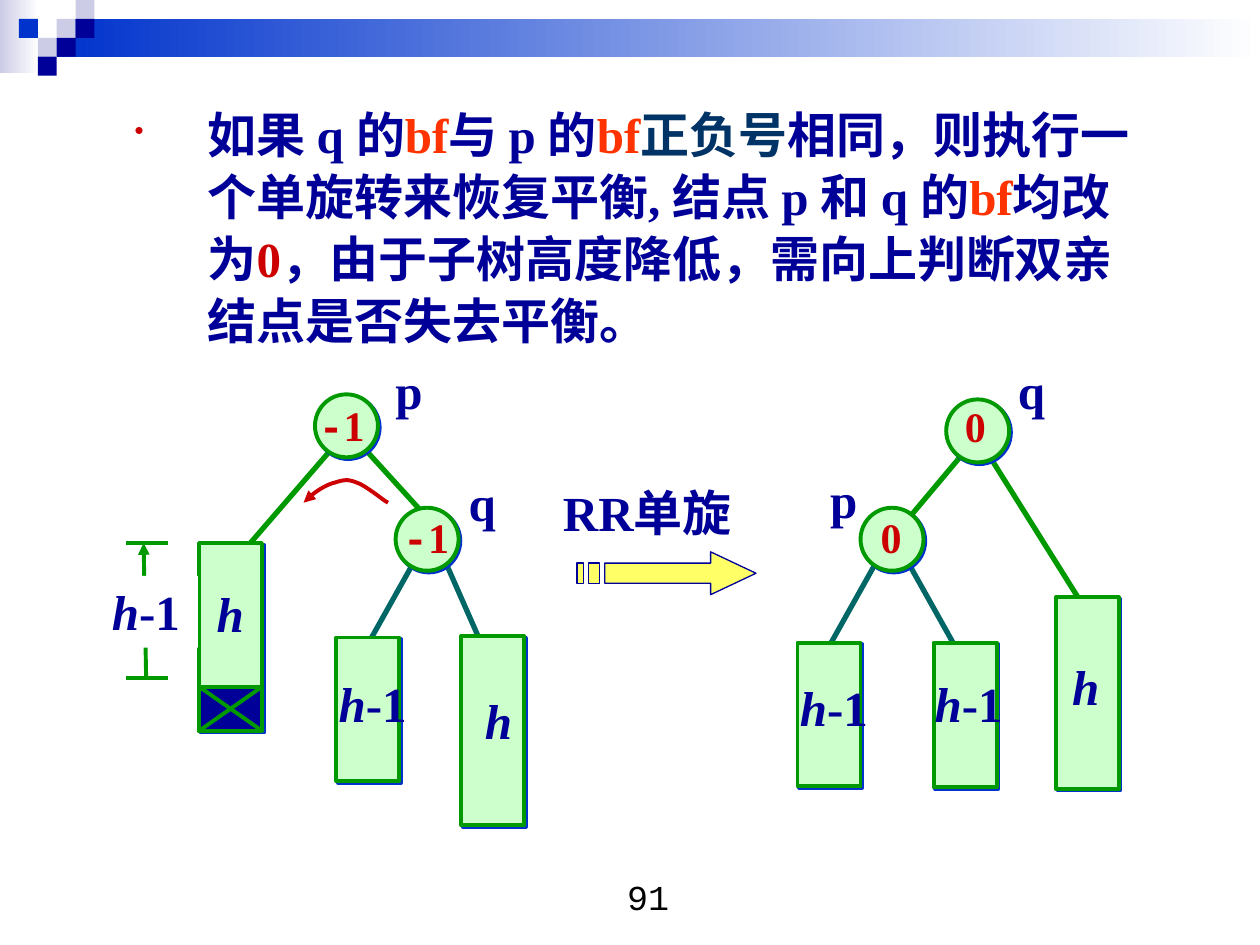
import pptx
import pptx.dml.color
import pptx.enum.shapes
import pptx.enum.text
import pptx.oxml
import pptx.oxml.ns
import pptx.util

Inches = pptx.util.Inches
Pt = pptx.util.Pt
rgb = pptx.dml.color.RGBColor.from_string
MSO_SHAPE = pptx.enum.shapes.MSO_SHAPE
STRAIGHT = pptx.enum.shapes.MSO_CONNECTOR.STRAIGHT
NAMESPACE = pptx.oxml.ns.nsdecls("a")
SERIF, MONO = "Times New Roman", "Courier New"
NAVY, BLUE, LAVENDER, WHITE = "000099", "0033CC", "CCCCE6", "FFFFFF"
GREEN, MINT, TEAL = "009900", "CCFFCC", "006666"
RED, ORANGE, SLATE = "CC0000", "FF3300", "003366"


def outline(shape, color, width, arrow=False, shadow=False):
    """Set the line, the optional arrowhead at its start, and the blue shadow or none."""
    shape.line.color.rgb = rgb(color)
    shape.line.width = Pt(width)
    if arrow:
        shape.line._get_or_add_ln().append(
            pptx.oxml.parse_xml(f'<a:headEnd {NAMESPACE} type="triangle"/>'))
    effect = (f'<a:outerShdw dist="{Pt(1.4)}" dir="2700000" algn="ctr" rotWithShape="0">'
              f'<a:srgbClr val="{BLUE}"/></a:outerShdw>') if shadow else ""
    shape._element.spPr.append(
        pptx.oxml.parse_xml(f"<a:effectLst {NAMESPACE}>{effect}</a:effectLst>"))


def add_text(place, spans, size, wrap=True):
    """Add a one-paragraph box; each span is (text, font, colour, bold, italic)."""
    box = slide.shapes.add_textbox(*map(Inches, place))
    box.text_frame.word_wrap = wrap
    para = box.text_frame.paragraphs[0]
    for text, font, color, bold, italic in spans:
        span = para.add_run()
        span.text = text
        span.font.name, span.font.size = font, Pt(size)
        span.font.color.rgb = rgb(color)
        span.font.bold, span.font.italic = bold, italic
    return box


deck = pptx.Presentation()
deck.slide_width, deck.slide_height = Inches(10), Inches(7.5)
slide = deck.slides.add_slide(deck.slide_layouts[6])

# Header: two fading bars and a staircase of squares
for place, color in [((0, 0, 0.31, 0.58), LAVENDER), ((0.45, 0.15, 9.55, 0.3), BLUE)]:
    bar = slide.shapes.add_shape(MSO_SHAPE.RECTANGLE, *map(Inches, place))
    bar.shadow.inherit = False
    bar.line.fill.background()
    bar.fill.gradient()
    bar.fill.gradient_angle = 0
    for stop, shade, position in zip(bar.fill.gradient_stops, (color, WHITE), (0, 1)):
        stop.color.rgb = rgb(shade)
        stop.position = position

SQUARE = 0.15
squares = [(3, 1, LAVENDER), (4, 0, LAVENDER), (4, 1, NAVY), (2, 2, LAVENDER),
           (1, 1, BLUE), (3, 2, NAVY), (2, 3, NAVY)]
for column, row, color in squares:
    square = slide.shapes.add_shape(
        MSO_SHAPE.RECTANGLE, Inches(column * SQUARE), Inches(row * SQUARE),
        Inches(SQUARE), Inches(SQUARE))
    square.shadow.inherit = False
    square.fill.solid()
    square.fill.fore_color.rgb = rgb(color)
    square.line.fill.background()

# Rule text
rule = [("如果 q 的", NAVY), ("bf", ORANGE), ("与 p 的", NAVY), ("bf", ORANGE),
        ("正负号", SLATE), ("相同，则执行一个单旋转来恢复平衡, 结点 p 和 q 的", NAVY),
        ("bf", ORANGE), ("均改为", NAVY), ("0", RED),
        ("，由于子树高度降低，需向上判断双亲结点是否失去平衡。", NAVY)]
body = add_text((0.47, 0.76, 8.83, 2.43),
                [(text, SERIF, color, True, False) for text, color in rule], 28)
para = body.text_frame.paragraphs[0]
properties = para._p.get_or_add_pPr()
properties.set("marL", str(Inches(1.08)))
properties.set("indent", str(Inches(-0.58)))
for bullet in (f'<a:buClr {NAMESPACE}><a:srgbClr val="{RED}"/></a:buClr>',
               f'<a:buSzPct {NAMESPACE} val="55000"/>',
               f'<a:buChar {NAMESPACE} char="•"/>'):
    properties.append(pptx.oxml.parse_xml(bullet))
para.line_spacing = 1.05

# Tree branches and the height marker: start, end, colour, width, arrow
branches = [
    (3.5, 4.38, 3.83, 5.13, TEAL, 3, False),
    (3.33, 4.38, 2.91, 5.13, TEAL, 3, False),
    (2.71, 3.36, 3.41, 4.13, GREEN, 3, False),
    (2.67, 3.52, 1.84, 4.48, GREEN, 3, False),
    (7, 4.38, 6.58, 5.13, TEAL, 3, False),
    (7.16, 4.38, 7.58, 5.13, TEAL, 3, False),
    (7.71, 3.52, 7.08, 4.27, GREEN, 3, False),
    (7.79, 3.52, 8.63, 4.86, GREEN, 3, False),
    (1.14, 4.31, 1.16, 5.38, GREEN, 2.25, True),
    (1, 5.38, 1.33, 5.38, GREEN, 2.25, False),
    (1, 4.31, 1.33, 4.31, GREEN, 2.25, False),
]
for *ends, color, width, arrow in branches:
    branch = slide.shapes.add_connector(STRAIGHT, *map(Inches, ends))
    outline(branch, color, width, arrow)

# Nodes and subtrees, all 0.5 wide: left, top, height, fill
NODE = 0.5
nodes = [(2.5, 3.13), (3.14, 4.03), (7.51, 3.17), (6.83, 4.03)]
subtrees = [(1.58, 4.31, 1.49, MINT), (1.58, 5.45, 0.35, NAVY), (2.67, 5.06, 1.14, MINT),
            (3.66, 5.05, 1.5, MINT), (6.33, 5.1, 1.14, MINT), (7.41, 5.1, 1.15, MINT),
            (8.38, 4.74, 1.52, MINT)]
parts = [(MSO_SHAPE.OVAL, left, top, NODE, MINT) for left, top in nodes]
parts += [(MSO_SHAPE.RECTANGLE, *subtree) for subtree in subtrees]
for kind, left, top, height, color in parts:
    part = slide.shapes.add_shape(
        kind, Inches(left), Inches(top), Inches(NODE), Inches(height))
    part.fill.solid()
    part.fill.fore_color.rgb = rgb(color)
    outline(part, GREEN, 2.25, shadow=True)

for start, end in [(2.08, 1.58), (1.58, 2.08)]:
    diagonal = slide.shapes.add_connector(
        STRAIGHT, Inches(start), Inches(5.45), Inches(end), Inches(5.8))
    outline(diagonal, GREEN, 2.25)

# Striped arrow between the two trees
arrow_pieces = [
    [(5.64, 4.38), (5.64, 4.47), (4.8, 4.47), (4.8, 4.63), (5.64, 4.63), (5.64, 4.72), (6, 4.55)],
    [(4.67, 4.47), (4.67, 4.63), (4.76, 4.63), (4.76, 4.47)],
    [(4.58, 4.47), (4.58, 4.63), (4.63, 4.63), (4.63, 4.47)],
]
pieces = [[(Inches(x), Inches(y)) for x, y in piece] for piece in arrow_pieces]
builder = slide.shapes.build_freeform(*pieces[0][0])
for index, piece in enumerate(pieces):
    if index:
        builder.move_to(*piece[0])
    builder.add_line_segments(piece[1:], close=True)
striped_arrow = builder.convert_to_shape()
striped_arrow.fill.solid()
striped_arrow.fill.fore_color.rgb = rgb("FFFF66")
outline(striped_arrow, NAVY, 0.75)

# Curved rotation arrow, sampled from cubic Bezier pieces
STEPS = 8
controls = [(2.41, 3.99), (2.44, 3.97), (2.46, 3.94), (2.5, 3.91), (2.54, 3.88),
            (2.61, 3.84), (2.66, 3.83), (2.72, 3.81), (2.76, 3.8), (2.83, 3.83),
            (2.9, 3.85), (3.04, 3.97), (3.08, 3.99)]
curve = []
for first in range(0, len(controls) - 1, 3):
    for step in range(1, STEPS + 1):
        t = step / STEPS
        weights = ((1 - t) ** 3, 3 * t * (1 - t) ** 2, 3 * t ** 2 * (1 - t), t ** 3)
        curve.append([Inches(sum(weight * point[axis] for weight, point
                                 in zip(weights, controls[first:first + 4])))
                      for axis in (0, 1)])
builder = slide.shapes.build_freeform(*map(Inches, controls[0]))
builder.add_line_segments(curve, close=False)
rotation = builder.convert_to_shape()
rotation.fill.background()
outline(rotation, RED, 2.25, arrow=True)

# Labels
minus_one = [("-", MONO, RED, True, False), ("1", SERIF, RED, True, False)]
zero = [("0", SERIF, RED, True, False)]
height_h = [("h", SERIF, NAVY, True, True)]
height_less = height_h + [("-1", SERIF, NAVY, True, False)]
name_p = [("p", SERIF, NAVY, True, False)]
name_q = [("q", SERIF, NAVY, True, False)]
labels = [
    (2.43, 3.12, 0.67, minus_one, 24), (3.1, 4.01, 0.64, minus_one, 24),
    (6.89, 4.01, 0.58, zero, 24), (7.56, 3.13, 0.5, zero, 24),
    (3.04, 2.81, 0.52, name_p, 28), (6.49, 3.68, 0.52, name_p, 28),
    (3.62, 3.7, 0.52, name_q, 28), (7.98, 2.81, 0.52, name_q, 28),
    (1.62, 4.58, 0.42, height_h, 28), (3.75, 5.43, 0.42, height_h, 28),
    (8.41, 5.16, 0.42, height_h, 28), (6.25, 5.33, 0.83, height_less, 28),
    (2.59, 5.3, 0.83, height_less, 28), (7.32, 5.3, 0.83, height_less, 28),
]
for left, top, width, spans, size in labels:
    add_text((left, top, width, 0.5 if size == 24 else 0.57), spans, size)

add_text((4.37, 3.78, 1.63, 0.57), [("RR单旋", SERIF, NAVY, True, False)], 28, wrap=False)
marker = add_text((0.79, 4.57, 0.78, 0.57), height_less, 28)
marker.fill.solid()
marker.fill.fore_color.rgb = rgb(WHITE)
number = add_text((3.98, 6.9, 2.33, 0.52), [("91", MONO, "000000", False, False)], 20)
number.text_frame.paragraphs[0].alignment = pptx.enum.text.PP_ALIGN.CENTER

deck.save("out.pptx")
